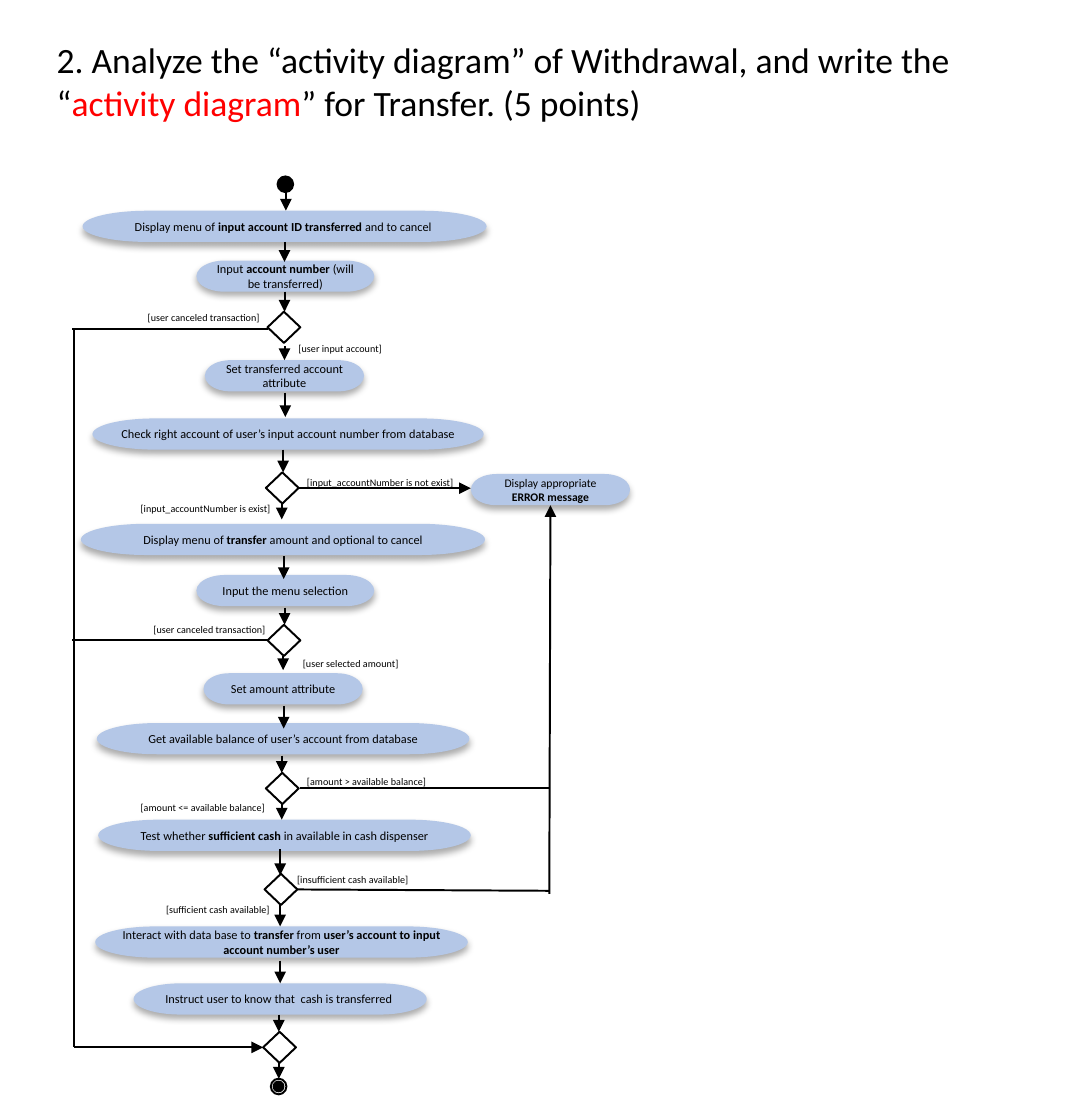
from lxml.etree import SubElement
from pptx import Presentation
from pptx.dml.color import RGBColor
from pptx.enum.shapes import MSO_CONNECTOR, MSO_SHAPE
from pptx.enum.text import MSO_ANCHOR, PP_ALIGN
from pptx.oxml.ns import qn
from pptx.util import Pt

NODE_H = 15.8
DECISION_W = 16.6


def color(hex_text):
    return RGBColor.from_string(hex_text)


class Diagram:
    font = "Calibri"
    ink, paper, step_fill, accent = "000000", "FFFFFF", "B4C7E7", "FF0000"

    def __init__(self, slide):
        self.s = slide

    def shape(self, kind, x, y, w, h, fill=None, line=None):
        sp = self.s.shapes.add_shape(kind, Pt(x), Pt(y), Pt(w), Pt(h))
        if fill:
            sp.fill.solid()
            sp.fill.fore_color.rgb = color(fill)
        else:
            sp.fill.background()
        if line:
            sp.line.color.rgb = color(line)
            sp.line.width = Pt(1)
        else:
            sp.line.fill.background()
        sp.shadow.inherit = False
        return sp

    def add_runs(self, p, text, size, mark):
        """Parts between asterisks are passed to mark."""
        p.font.name = self.font
        p.font.size = Pt(size)
        p.font.color.rgb = color(self.ink)
        for i, part in enumerate(text.split("*")):
            if part:
                r = p.add_run()
                r.text = part
                if i % 2:
                    mark(r.font)

    def bold(self, font):
        font.bold = True

    def highlight(self, font):
        font.color.rgb = color(self.accent)

    def step(self, x, y, w, text, size=6.2):
        sp = self.shape(MSO_SHAPE.FLOWCHART_TERMINATOR, x, y, w, NODE_H, self.step_fill)
        self.soft_shadow(sp)
        tf = sp.text_frame
        tf.word_wrap = True
        tf.vertical_anchor = MSO_ANCHOR.MIDDLE
        tf.margin_left = tf.margin_right = Pt(4.3)
        tf.margin_top = tf.margin_bottom = Pt(2.2)
        p = tf.paragraphs[0]
        p.alignment = PP_ALIGN.CENTER
        self.add_runs(p, text, size, self.bold)

    def soft_shadow(self, sp):
        effects = sp.element.spPr.find(qn("a:effectLst"))
        shadow = SubElement(effects, qn("a:outerShdw"), blurRad=str(Pt(3.5)),
                            dist=str(Pt(2.2)), dir="5400000", rotWithShape="0")
        tint = SubElement(shadow, qn("a:srgbClr"), val=self.ink)
        SubElement(tint, qn("a:alpha"), val="32000")

    def decision(self, x, y):
        self.shape(MSO_SHAPE.FLOWCHART_DECISION, x, y, DECISION_W, NODE_H, self.paper, self.ink)

    def dot(self, cx, cy, d, fill=None):
        self.shape(MSO_SHAPE.OVAL, cx - d / 2, cy - d / 2, d, d, fill, self.ink)

    def line(self, x1, y1, x2, y2, arrow=False):
        c = self.s.shapes.add_connector(MSO_CONNECTOR.STRAIGHT, Pt(x1), Pt(y1), Pt(x2), Pt(y2))
        c.line.color.rgb = color(self.ink)
        c.line.width = Pt(1)
        props = c.element.spPr
        if arrow:
            SubElement(props.find(qn("a:ln")), qn("a:tailEnd"), type="triangle")
        SubElement(props, qn("a:effectLst"))

    def text(self, x, y, w, h, text, size):
        tf = self.s.shapes.add_textbox(Pt(x), Pt(y), Pt(w), Pt(h)).text_frame
        tf.word_wrap = True
        self.add_runs(tf.paragraphs[0], text, size, self.highlight)


STEPS = [  # left, top, width, text
    (41.8, 106.6, 204.5, "Display menu of *input account ID transferred *and to cancel "),
    (99.4, 131.8, 90, "Input *account number *(will be transferred)"),
    (103.7, 182.2, 80.6, "Set transferred account attribute"),
    (46.8, 211.7, 198, "Check right account of user’s input account number from database"),
    (41, 265, 204.5, "Display menu of *transfer* amount and optional to cancel"),
    (99.4, 290.9, 90, "Input the menu selection"),
    (103, 340.6, 80.6, "Set amount attribute"),
    (49, 365.8, 188.6, "Get available balance of user’s account from database"),
    (49.7, 414.7, 188.6, "Test whether *sufficient cash *in available in cash dispenser"),
    (48.2, 468.7, 188.6,
     "Interact with data base to *transfer* from *user’s account to input account number’s user*"),
    (67.7, 497.5, 148.3, "Instruct user to know that  cash is transferred "),
]
DECISIONS = [(135.4, 157.7), (134.6, 239), (135.4, 316.1),
             (134.6, 391), (133.9, 442.1), (133.2, 522)]
FLOW = [  # x, from y, to y
    (144.7, 97.2, 106.6), (144, 122.4, 132.5), (144, 147.6, 157.7),
    (144, 175, 182.2), (144.4, 198.7, 211), (143.3, 227.5, 239),
    (142.6, 254.9, 262.8), (143.6, 281.5, 293), (144, 307.4, 316.1),
    (143.3, 331.9, 339.1), (143.6, 357.1, 368.6), (142.6, 382.3, 391),
    (142.6, 406.8, 414.7), (141.8, 429.8, 442.8), (141.8, 457.9, 468.7),
    (141.8, 486, 497.5), (141.1, 513.4, 522), (141.1, 537.8, 545.8),
]
CANCEL_X, ERROR_X = 37.4, 278
BRANCHES = [  # from x, y, to x, y, arrow
    (135.4, 166.3, CANCEL_X - 0.7, 166.3, False),
    (135.4, 324, CANCEL_X - 0.7, 324, False),
    (CANCEL_X, 166.3, CANCEL_X, 529.9, False),
    (CANCEL_X, 529.9, 133.2, 529.9, True),
    (151.2, 247, 238.3, 247, True),
    (151.9, 398.9, ERROR_X, 398.9, False),
    (150.5, 450, ERROR_X, 450.7, False),
    (ERROR_X, 452.2, ERROR_X + 0.6, 255.6, True),
]
GUARDS = [  # left, top, text
    (67.7, 154.1, "[user canceled transaction]"),
    (144, 169.9, "[user input account]"),
    (148.3, 237.6, "[input_accountNumber is not exist]"),
    (64.1, 250.6, "[input_accountNumber is exist]"),
    (70.6, 311.8, "[user canceled transaction]"),
    (146.2, 329, "[user selected amount]"),
    (148.3, 388.8, "[amount > available balance]"),
    (64.1, 401.8, "[amount <= available balance]"),
    (143.3, 438.5, "[insufficient cash available]"),
    (77, 453.6, "[sufficient cash available]"),
]


def main():
    prs = Presentation()
    prs.slide_width, prs.slide_height = Pt(540), Pt(566.64)
    d = Diagram(prs.slides.add_slide(prs.slide_layouts[6]))

    # Heading
    d.text(21.6, 15.8, 496.8, 72.7, "2. Analyze the “activity diagram” of Withdrawal, "
           "and write the “*activity diagram*” for Transfer. (5 points)", 18)

    # Activities
    for step in STEPS:
        d.step(*step)
    d.step(238.3, 239.8, 80.6, "Display appropriate *ERROR message*", 5.9)

    # Flow and branches
    for x, y1, y2 in FLOW:
        d.line(x, y1, x, y2, arrow=True)
    for branch in BRANCHES:
        d.line(*branch)

    # Decisions, start and end
    for x, y in DECISIONS:
        d.decision(x, y)
    d.dot(144.4, 93.2, 7.9, d.ink)
    d.dot(141, 549.7, 7.9)
    d.dot(141, 549.7, 5, d.ink)

    # Guard labels
    for x, y, text in GUARDS:
        d.text(x, y, 92, 13.7, text, 5.1)

    prs.save("out.pptx")


if __name__ == "__main__":
    main()
